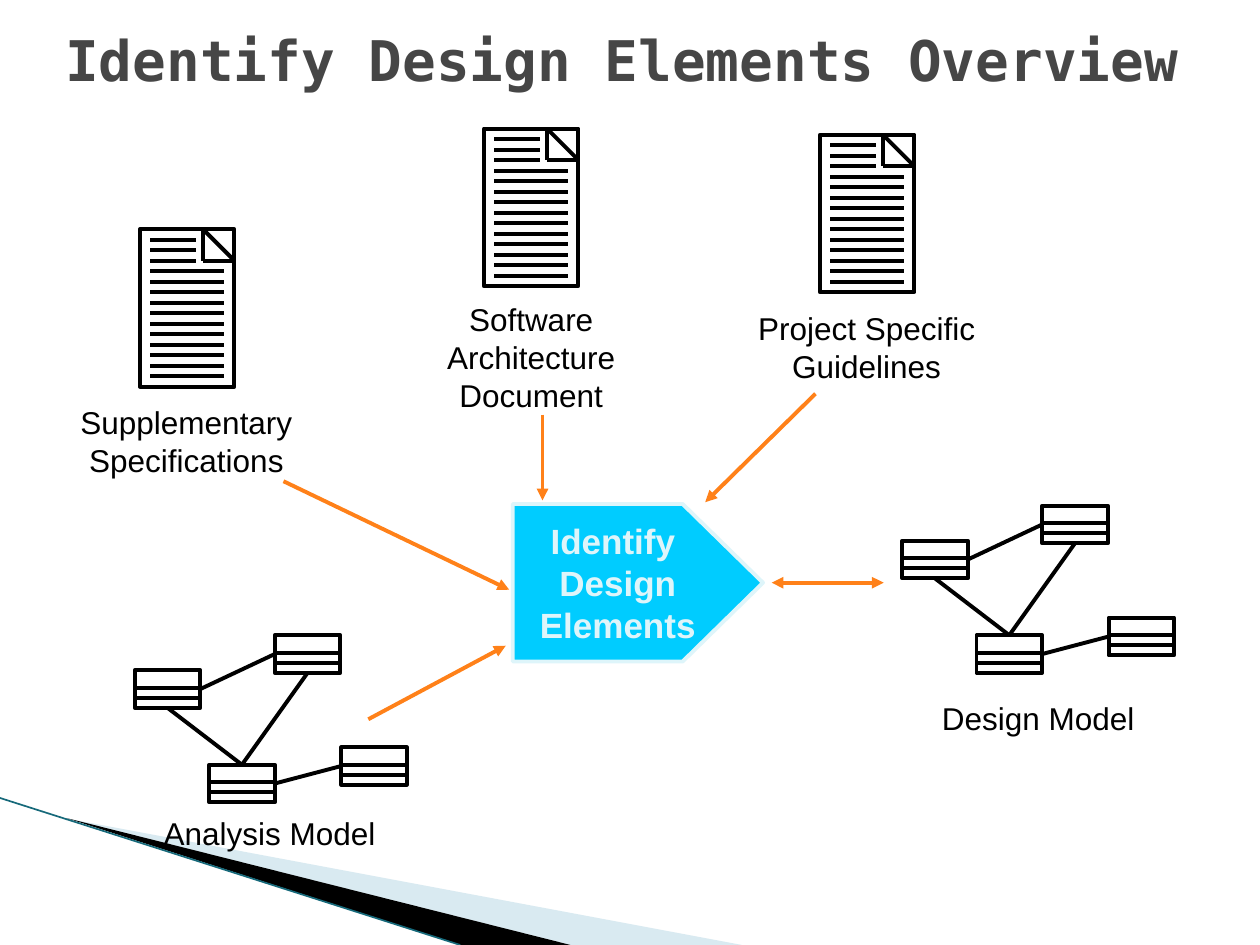
from lxml.etree import SubElement
from pptx import Presentation
from pptx.dml.color import RGBColor
from pptx.enum.shapes import MSO_CONNECTOR, MSO_SHAPE
from pptx.enum.text import MSO_ANCHOR, MSO_AUTO_SIZE, PP_ALIGN
from pptx.oxml.ns import qn
from pptx.util import Pt

INK, ORANGE, CYAN, PALE, TEAL = "000000", "FF8119", "00CCFF", "DEF5FA", "16697A"

TITLE = "Identify Design Elements Overview"
STEP = ["Identify ", "Design", "Elements"]

# page corner, caption box, caption lines
DOCS = [
    ((80, 131), (39, 227, 135, 50), ["Supplementary", "Specifications"]),
    ((276.5, 73.5), (248.5, 168, 110, 72),
     ["Software", "Architecture", "Document"]),
    ((468.5, 77), (426, 173, 138.5, 50), ["Project Specific", "Guidelines"]),
]
MODELS = [
    ((515.5, 289), (531, 396, 124.5, 29), ["Design Model"]),
    ((77, 363), (86.5, 461.5, 135, 29), ["Analysis Model"]),
]
# start, end, arrowheads at both ends
ARROWS = [
    ((310, 237), (310, 286), False),
    ((162, 275), (291, 337), False),
    ((466, 225), (403, 287), False),
    ((210.5, 411), (289, 369), False),
    ((441, 333), (505, 333), True),
]
# points, fill, opacity in percent
SWOOSH = [
    ([(39.5, 468), (424, 540), (326, 540)], "A0CBDC", 40),
    ([(38, 467.5), (326, 540), (263, 540)], INK, 100),
]

PAGE_W, PAGE_H, FOLD = 54, 90, 18
MARGIN, GAP, ROWS, SHORT = 6, 6, 14, 3
BOX_W, BOX_H, RULES = 37.5, 21.5, (10, 15.75)
BOXES = [(0, 20), (80, 0), (42.5, 74), (118, 64)]
TOP, LEFT, BOTTOM, RIGHT = range(4)
LINKS = [(2, TOP, 0, BOTTOM), (0, RIGHT, 1, LEFT),
         (2, RIGHT, 3, LEFT), (2, TOP, 1, BOTTOM)]


def color(code):
    return RGBColor.from_string(code)


def place(*nums):
    return [Pt(n) for n in nums]


def write(shape, lines, size=18, font="Arial", ink=INK, bold=False,
          align=PP_ALIGN.CENTER, anchor=MSO_ANCHOR.TOP, wrap=False, side=7.2):
    frame = shape.text_frame
    frame.word_wrap = wrap
    frame.vertical_anchor = anchor
    frame.margin_left = frame.margin_right = Pt(side)
    for i, line in enumerate(lines):
        par = frame.add_paragraph() if i else frame.paragraphs[0]
        par.alignment = align
        run = par.add_run()
        run.text = line
        run.font.size = Pt(size)
        run.font.name = font
        run.font.bold = bold
        run.font.color.rgb = color(ink)


def rect(shapes, box, kind=MSO_SHAPE.RECTANGLE, fill=None, ink=INK):
    shape = shapes.add_shape(kind, *place(*box))
    shape.shadow.inherit = False
    if fill:
        shape.fill.solid()
        shape.fill.fore_color.rgb = color(fill)
    else:
        shape.fill.background()
    shape.line.color.rgb = color(ink)
    shape.line.width = Pt(2.25)
    return shape


def line(shapes, start, end, ink=INK, width=2.25, heads=()):
    """Draw a straight line; heads names headEnd and tailEnd in that order."""
    link = shapes.add_connector(MSO_CONNECTOR.STRAIGHT, *place(*start, *end))
    link.line.color.rgb = color(ink)
    link.line.width = Pt(width)
    props = link._element.spPr
    for head in heads:
        SubElement(props.find(qn("a:ln")), qn("a:" + head), type="triangle")
    SubElement(props, qn("a:effectLst"))
    return link


def caption(shapes, box, lines):
    """Add a label with no side margins, so that each line fits its box."""
    label = shapes.add_textbox(*place(*box))
    write(label, lines, side=0)
    label.text_frame.auto_size = MSO_AUTO_SIZE.NONE


def page(shapes, x, y):
    """Draw a document page with a folded corner and rows of text."""
    rect(shapes, (x, y, PAGE_W, PAGE_H))
    edge, fold, low = x + PAGE_W, x + PAGE_W - FOLD, y + FOLD
    line(shapes, (fold, y), (edge, low))
    line(shapes, (fold, y), (fold, low))
    line(shapes, (edge, low), (fold, low))
    for row in range(ROWS):
        end = (fold - 4) if row < SHORT else (edge - MARGIN)
        level = y + GAP * (row + 1)
        line(shapes, (x + MARGIN, level), (end, level))


def model(shapes, x, y):
    """Draw four linked class boxes."""
    boxes = []
    for dx, dy in BOXES:
        left, top = x + dx, y + dy
        boxes.append(rect(shapes, (left, top, BOX_W, BOX_H)))
        for rule in RULES:
            line(shapes, (left, top + rule), (left + BOX_W, top + rule))
    for a, side, b, other in LINKS:
        link = line(shapes, (x, y + 20), (x + BOX_W, y + 40))
        link.begin_connect(boxes[a], side)
        link.end_connect(boxes[b], other)


def swoosh(shapes, points, fill, alpha):
    first, *rest = [place(*point) for point in points]
    build = shapes.build_freeform(*first)
    build.add_line_segments(rest, close=True)
    shape = build.convert_to_shape()
    shape.shadow.inherit = False
    shape.fill.solid()
    shape.fill.fore_color.rgb = color(fill)
    shape.line.fill.background()
    if alpha < 100:
        tone = shape._element.spPr.find(".//" + qn("a:srgbClr"))
        SubElement(tone, qn("a:alpha"), val=str(alpha * 1000))


def main():
    deck = Presentation()
    deck.slide_width, deck.slide_height = place(720, 540)
    shapes = deck.slides.add_slide(deck.slide_layouts[6]).shapes

    for points, fill, alpha in SWOOSH:
        swoosh(shapes, points, fill, alpha)
    line(shapes, (0, 456), (263, 540), ink=TEAL, width=0.95)

    title = shapes.add_textbox(*place(30.25, 12.5, 708.5, 42))
    write(title, [TITLE], size=32, font="DejaVu Sans Mono", ink="464646",
          bold=True, align=PP_ALIGN.LEFT, anchor=MSO_ANCHOR.MIDDLE, wrap=True)

    for draw, items in ((page, DOCS), (model, MODELS)):
        for corner, box, lines in items:
            group = shapes.add_group_shape().shapes
            draw(group, *corner)
            caption(group, box, lines)

    step = rect(shapes, (293, 288, 143, 90), MSO_SHAPE.PENTAGON, CYAN, PALE)
    step.adjustments[0] = 0.51
    write(step, STEP, size=20, ink=PALE, bold=True, anchor=MSO_ANCHOR.MIDDLE)

    for start, end, both in ARROWS:
        heads = ("headEnd", "tailEnd") if both else ("tailEnd",)
        line(shapes, start, end, ink=ORANGE, heads=heads)

    deck.save("out.pptx")


if __name__ == "__main__":
    main()
